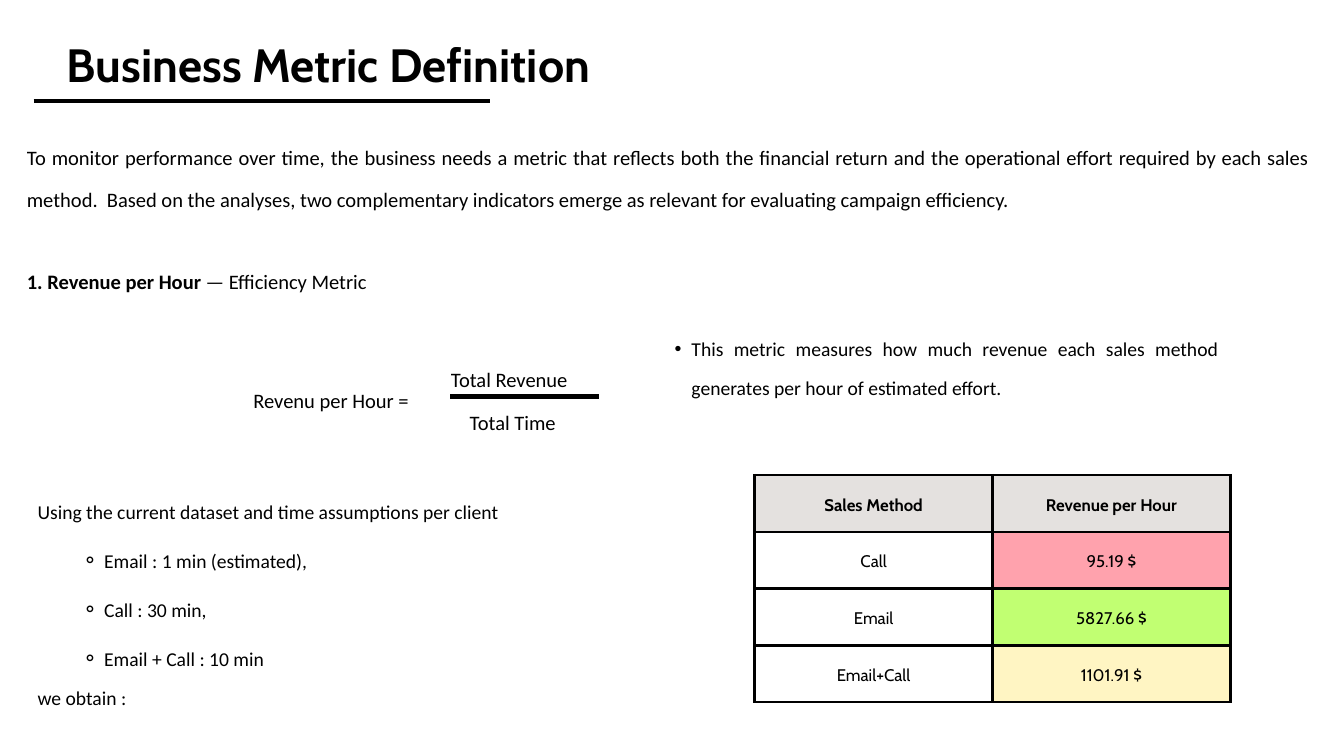
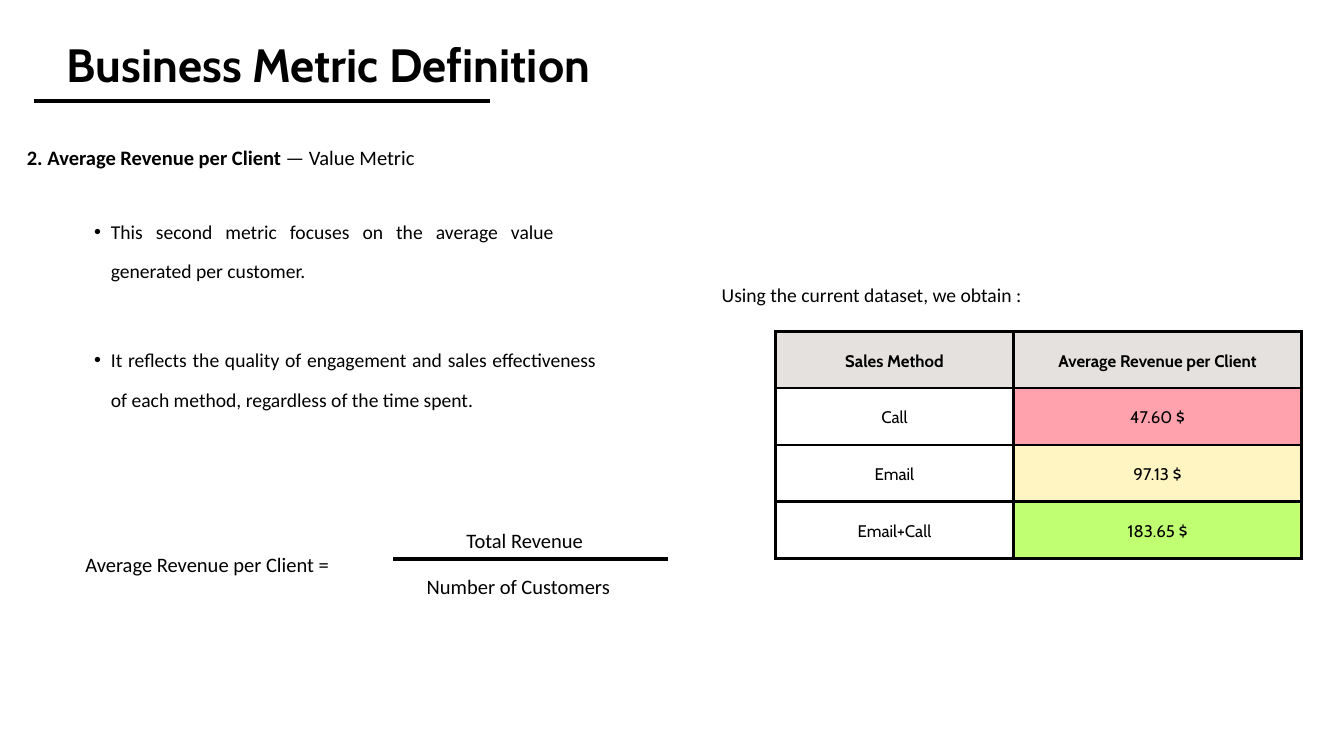
from lxml import etree
from pptx import Presentation
from pptx import util as u
from pptx.dml.color import RGBColor
from pptx.enum import shapes, text
from pptx.oxml.ns import qn

BLACK, HEADER = "000000", "E4E1DF"
LOW, MIDDLE, HIGH = "FFA2AD", "FFF5C3", "C1FF72"
HEADING_FONT, BODY_FONT = "Cabin", "Calibri"
LEFT, CENTER, JUSTIFY = text.PP_ALIGN.LEFT, text.PP_ALIGN.CENTER, text.PP_ALIGN.JUSTIFY
BODY, DETAIL = 22, 21  # the two body sizes; lines are twice as high
ROW_HEIGHT = 0.845


def color(code):
    return RGBColor.from_string(code)


class Deck:
    def __init__(self):
        self.prs = Presentation()
        self.prs.slide_width, self.prs.slide_height = u.Inches(20), u.Inches(11.25)
        self.slide = None

    def new_slide(self, title):
        self.slide = self.prs.slides.add_slide(self.prs.slide_layouts[6])
        self.rule(0.5, 7.29, 1.5)
        frame = self.box(0.4, 0.39, 8.98, 0.93)
        self.paragraph(frame, [(title, True)], 50, 70, CENTER, HEADING_FONT)

    def rule(self, left, right, y):
        line = self.slide.shapes.add_connector(
            shapes.MSO_CONNECTOR.STRAIGHT,
            u.Inches(left), u.Inches(y), u.Inches(right), u.Inches(y))
        line.line.color.rgb = color(BLACK)
        line.line.width = u.Pt(4.5)
        etree.SubElement(line._element.spPr, qn("a:effectLst"))

    def box(self, left, top, width, height=0.54):
        frame = self.slide.shapes.add_textbox(
            *(u.Inches(n) for n in (left, top, width, height))).text_frame
        frame.margin_left = frame.margin_right = frame.margin_top = frame.margin_bottom = 0
        frame.word_wrap = True
        frame.auto_size = text.MSO_AUTO_SIZE.SHAPE_TO_FIT_TEXT
        return frame

    def paragraph(self, frame, runs, size, spacing=None, align=JUSTIFY, font=BODY_FONT):
        """Fill the empty first paragraph, or add one; runs are (words, bold)."""
        par = frame.paragraphs[0]
        if par.runs:
            par = frame.add_paragraph()
        par.alignment = align
        par.line_spacing = u.Pt(spacing or 2 * size)
        for words, bold in runs:
            run = par.add_run()
            run.text = words
            run.font.name, run.font.size, run.font.bold = font, u.Pt(size), bold
            run.font.color.rgb = color(BLACK)
        return par

    def bullet(self, frame, words, mark="•", level=1, indent=0.5, hang=0.25, spacing=None):
        par = self.paragraph(frame, [(words, False)], DETAIL, spacing)
        par.level = level
        props = par._p.get_or_add_pPr()
        props.set("marL", str(u.Inches(indent)))
        props.set("indent", str(-u.Inches(hang)))
        etree.SubElement(props, qn("a:buFont"), typeface="Arial")
        etree.SubElement(props, qn("a:buChar"), char=mark)

    def label(self, words, left, top, width, size=BODY):
        self.paragraph(self.box(left, top, width), [(words, False)], size)

    def heading(self, frame, name, kind):
        return self.paragraph(frame, [(name, True), (f" — {kind}", False)], BODY)

    def table(self, left, top, widths, rows, fills):
        """The first row is the header; fills colour the values below it."""
        grid = self.slide.shapes.add_table(
            len(rows), len(widths), u.Inches(left), u.Inches(top),
            u.Inches(sum(widths)), u.Inches(ROW_HEIGHT * len(rows))).table
        grid.first_row = grid.horz_banding = False
        for column, width in zip(grid.columns, widths):
            column.width = u.Inches(width)
        for r, row in enumerate(rows):
            grid.rows[r].height = u.Inches(ROW_HEIGHT)
            for c, words in enumerate(row):
                fill = HEADER if r == 0 else fills[r - 1] if c else None
                self.cell(grid.cell(r, c), words, fill, bold=r == 0)

    def cell(self, cell, words, fill, bold):
        cell.margin_left = cell.margin_right = u.Inches(0.21)
        cell.margin_top = cell.margin_bottom = u.Inches(0.21)
        cell.vertical_anchor = text.MSO_ANCHOR.MIDDLE
        self.paragraph(cell.text_frame, [(words, bold)], 18, 25.2, CENTER, HEADING_FONT)
        props = cell._tc.get_or_add_tcPr()
        for side in ("lnL", "lnR", "lnT", "lnB"):
            border = etree.SubElement(props, qn(f"a:{side}"), w=str(u.Pt(3)))
            paint = etree.SubElement(border, qn("a:solidFill"))
            etree.SubElement(paint, qn("a:srgbClr"), val=BLACK)
        if fill:
            cell.fill.solid()
            cell.fill.fore_color.rgb = color(fill)
        else:
            cell.fill.background()


def revenue_per_hour(deck):
    deck.new_slide("Business Metric Definition")

    # Introduction and metric name
    intro = deck.box(0.4, 1.92, 19.08, 2.95)
    deck.paragraph(intro, [(
        "To monitor performance over time, the business needs a metric that reflects both "
        "the financial return and the operational effort required by each sales method.  "
        "Based on the analyses, two complementary indicators emerge as relevant for "
        "evaluating campaign efficiency.", False)], BODY)
    name = deck.heading(intro, "1. Revenue per Hour", "Efficiency Metric")
    name.space_before = u.Pt(2 * BODY)

    # Formula
    deck.label("Revenu per Hour =", 3.77, 5.53, 2.82)
    deck.label("Total Revenue", 6.71, 5.22, 2.2)
    deck.rule(6.7, 8.91, 5.9)
    deck.label("Total Time", 6.99, 5.85, 1.66)

    # Meaning
    deck.bullet(deck.box(9.79, 4.78, 8.34, 1.12),
                "This metric measures how much revenue each sales method generates "
                "per hour of estimated effort. ")

    # Time assumptions
    assumptions = deck.box(0.56, 7.2, 9.44, 3.31)
    deck.paragraph(assumptions, [
        ("Using the current dataset and time assumptions per client ", False)], DETAIL)
    for item in ("Email : 1 min (estimated), ", "Call : 30 min, ", "Email + Call : 10 min "):
        deck.bullet(assumptions, item, "⚬", 2, 0.99, 0.33, 52.5)
    deck.paragraph(assumptions, [("we obtain :", False)], DETAIL)

    # Results
    deck.table(11.23, 7.07, (3.54, 3.54), (
        ("Sales Method", "Revenue per Hour"),
        ("Call", "95.19 $"),
        ("Email", "5827.66 $"),
        ("Email+Call", "1101.91 $")), (LOW, HIGH, MIDDLE))


def revenue_per_client(deck):
    deck.new_slide("Business Metric Definition")

    # Metric name and meaning
    deck.heading(deck.box(0.4, 1.92, 19.08), "2. Average Revenue per Client", "Value Metric")
    deck.bullet(deck.box(1.15, 3.04, 7.09, 1.12),
                "This second metric focuses on the average value generated per customer. ")
    deck.bullet(deck.box(1.15, 4.95, 7.72, 1.7),
                "It reflects the quality of engagement and sales effectiveness of each "
                "method, regardless of the time spent.")

    # Formula
    deck.label("Average Revenue per Client =", 1.27, 7.97, 4.57)
    deck.label("Total Revenue", 6.94, 7.61, 2.2)
    deck.rule(5.85, 9.94, 8.32)
    deck.label("Number of Customers", 6.35, 8.29, 3.38)

    # Results
    deck.label("Using the current dataset, we obtain :", 10.74, 3.98, 9.44, DETAIL)
    deck.table(11.54, 4.93, (3.54, 4.29), (
        ("Sales Method", "Average Revenue per Client"),
        ("Call", "47.60 $"),
        ("Email", "97.13 $"),
        ("Email+Call", "183.65 $")), (LOW, MIDDLE, HIGH))


def main():
    deck = Deck()
    revenue_per_hour(deck)
    revenue_per_client(deck)
    deck.prs.save("out.pptx")


if __name__ == "__main__":
    main()
